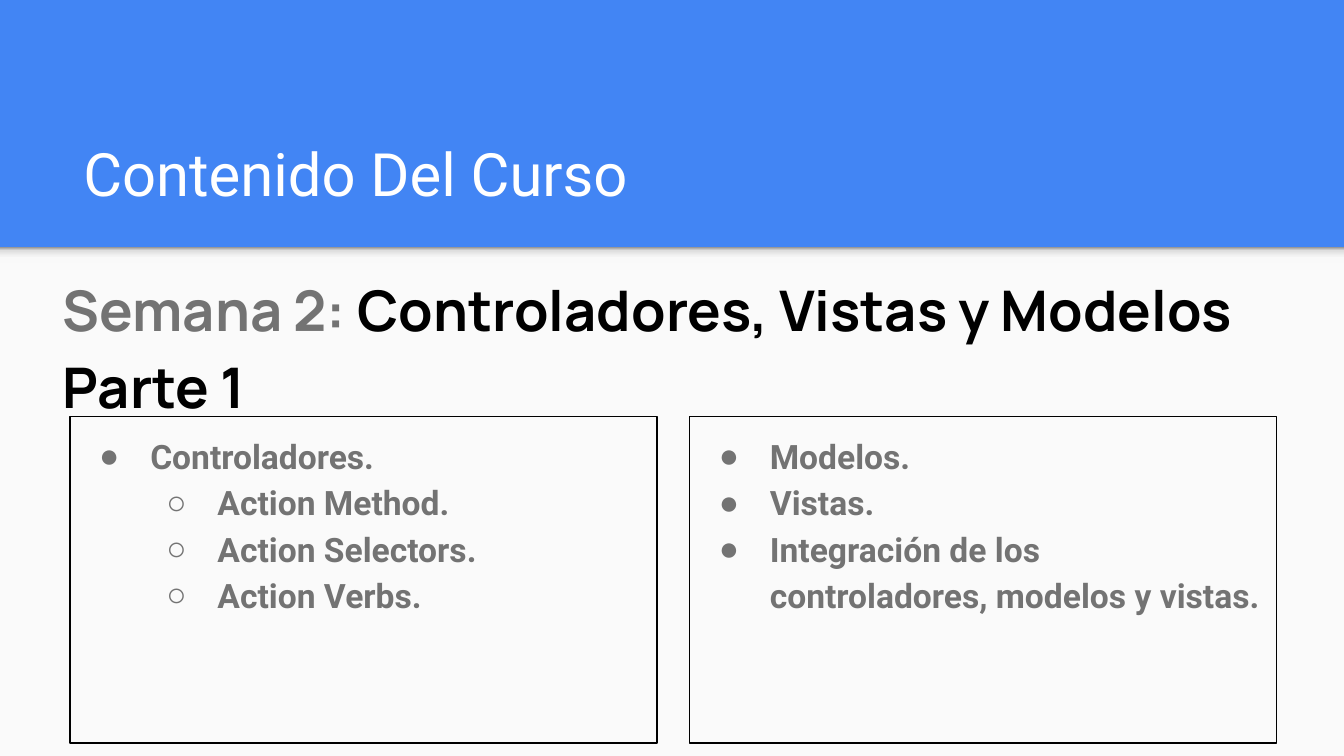
"""Build the course content slide with two bordered topic lists."""
from dataclasses import dataclass

from lxml import etree
from pptx import Presentation
from pptx.dml.color import RGBColor
from pptx.enum.shapes import MSO_SHAPE
from pptx.enum.text import MSO_ANCHOR, PP_ALIGN
from pptx.oxml import parse_xml
from pptx.oxml.ns import nsdecls, qn
from pptx.util import Inches, Pt

RECTANGLE = MSO_SHAPE.RECTANGLE
TOP, MIDDLE, BOTTOM = MSO_ANCHOR.TOP, MSO_ANCHOR.MIDDLE, MSO_ANCHOR.BOTTOM
LEFT = PP_ALIGN.LEFT


@dataclass(frozen=True)
class Theme:
    blue: RGBColor = RGBColor.from_string("4285F4")
    panel: RGBColor = RGBColor.from_string("FAFAFA")
    white: RGBColor = RGBColor.from_string("FFFFFF")
    gray: RGBColor = RGBColor.from_string("737373")
    black: RGBColor = RGBColor.from_string("000000")
    shade: tuple = ((0, "F9F9F9"), (36, "F9F9F9"), (80, "DEDEDE"), (100, "999999"))
    body_font: str = "Roboto"
    heading_font: str = "Manrope"
    bullet_font: str = "Arial"
    title_size: Pt = Pt(32)
    heading_size: Pt = Pt(30)
    body_size: Pt = Pt(18)
    line_spacing: float = 1.15


def prepare_frame(shape, anchor):
    frame = shape.text_frame
    frame.word_wrap = True
    frame.vertical_anchor = anchor
    frame.margin_left = frame.margin_right = Inches(0.1)
    frame.margin_top = frame.margin_bottom = Inches(0.1)
    return frame


def style_font(font, name, size, color=None, bold=False):
    font.name, font.size, font.bold = name, size, bold
    if color is not None:
        font.color.rgb = color


theme = Theme()
presentation = Presentation()
presentation.slide_width = Inches(10)
presentation.slide_height = Inches(10) * 9 // 16
slide = presentation.slides.add_slide(presentation.slide_layouts[5])
slide.background.fill.solid()
slide.background.fill.fore_color.rgb = theme.blue

panel_top = Inches(1.84)
panel = slide.shapes.add_shape(
    RECTANGLE, 0, panel_top, Inches(10), presentation.slide_height - panel_top
)
panel.fill.solid()
panel.fill.fore_color.rgb = theme.panel
shade = slide.shapes.add_shape(RECTANGLE, 0, panel_top, Inches(10), Inches(0.12))
stops = "".join(
    f'<a:gs pos="{position * 1000}"><a:srgbClr val="{color}"/></a:gs>'
    for position, color in theme.shade
)
gradient = parse_xml(
    f'<a:gradFill {nsdecls("a")}><a:gsLst>{stops}</a:gsLst>'
    '<a:lin ang="16200000" scaled="0"/></a:gradFill>'
)
shade.element.spPr.find(qn("a:prstGeom")).addnext(gradient)
for shape in (panel, shade):
    shape.line.fill.background()
    shape.shadow.inherit = False

title = slide.shapes.title
title.left, title.top = Inches(0.52), Inches(0.81)
title.width, title.height = Inches(8.99), Inches(0.84)
paragraph = prepare_frame(title, BOTTOM).paragraphs[0]
paragraph.text = "Contenido Del Curso"
paragraph.alignment = LEFT
style_font(paragraph.font, theme.body_font, theme.title_size, theme.white)

heading = slide.shapes.add_textbox(Inches(0.37), Inches(1.87), Inches(9.63), Inches(1.36))
paragraph = prepare_frame(heading, MIDDLE).paragraphs[0]
paragraph.line_spacing = theme.line_spacing
style_font(paragraph.font, theme.heading_font, theme.heading_size, bold=True)
for text, color in (
    ("Semana 2: ", theme.gray),
    ("Controladores, Vistas y Modelos Parte 1", theme.black),
):
    run = paragraph.add_run()
    run.text = text
    run.font.color.rgb = color

topic_lists = (
    (
        ("Controladores.", 0),
        ("Action Method.", 1),
        ("Action Selectors.", 1),
        ("Action Verbs.", 1),
    ),
    (
        ("Modelos.", 0),
        ("Vistas.", 0),
        ("Integración de los controladores, modelos y vistas.", 0),
    ),
)
for column, topics in enumerate(topic_lists):
    box = slide.shapes.add_shape(
        RECTANGLE, Inches(0.52 + 4.61 * column), Inches(3.1), Inches(4.37), Inches(2.43)
    )
    box.fill.background()
    box.line.color.rgb = theme.black
    box.line.width = Pt(0.75)
    box.shadow.inherit = False
    frame = prepare_frame(box, TOP)
    for index, (text, level) in enumerate(topics):
        paragraph = frame.add_paragraph() if index else frame.paragraphs[0]
        paragraph.text = text
        paragraph.level = level
        paragraph.alignment = LEFT
        paragraph.line_spacing = theme.line_spacing
        properties = paragraph._p.get_or_add_pPr()
        properties.set("marL", str(Inches(0.5 * (level + 1))))
        properties.set("indent", str(Inches(-0.38)))
        etree.SubElement(properties, qn("a:buFont"), typeface=theme.bullet_font)
        etree.SubElement(properties, qn("a:buChar"), char="●○"[level])
        style_font(paragraph.font, theme.body_font, theme.body_size, theme.gray, True)

presentation.save("out.pptx")
